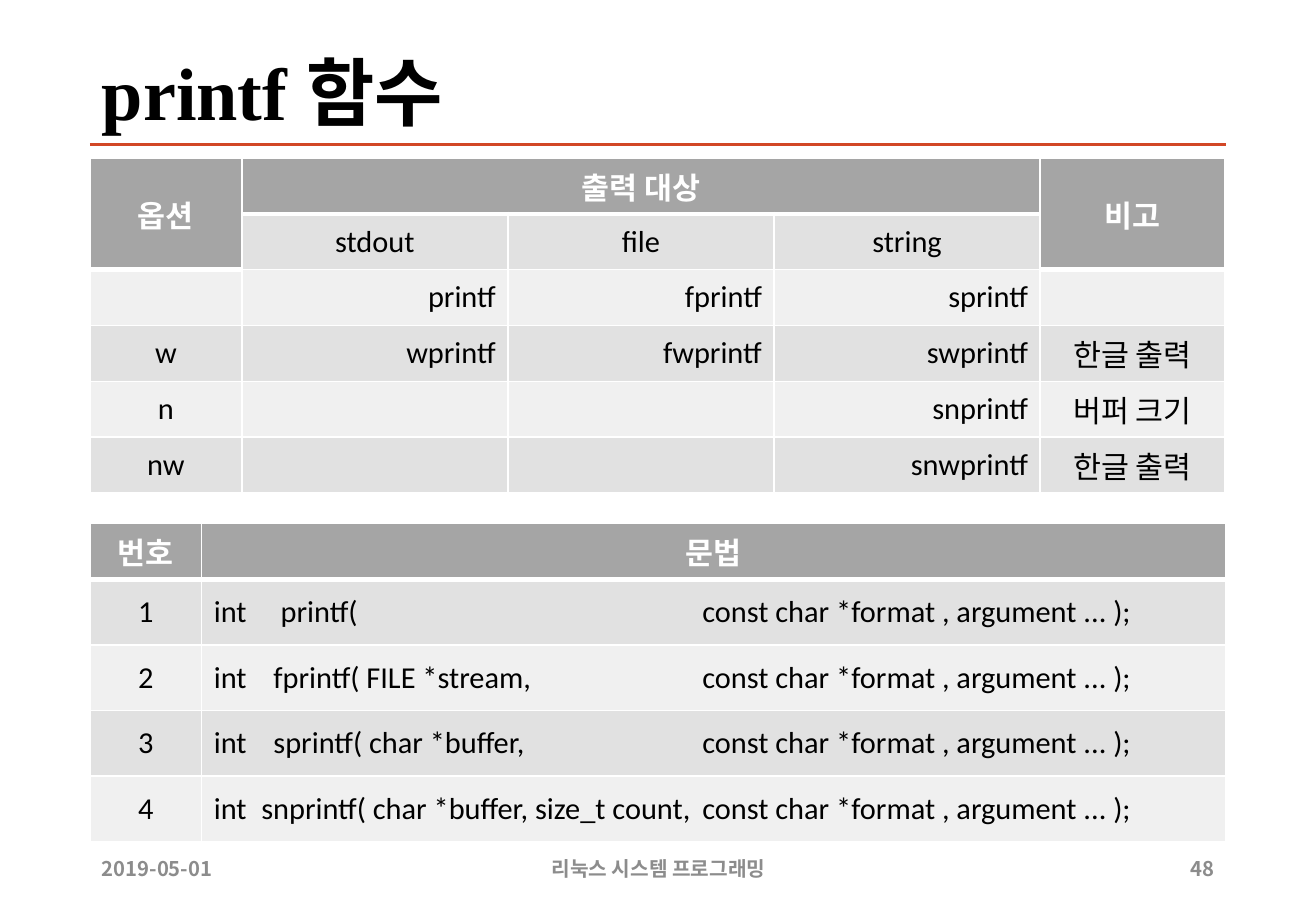
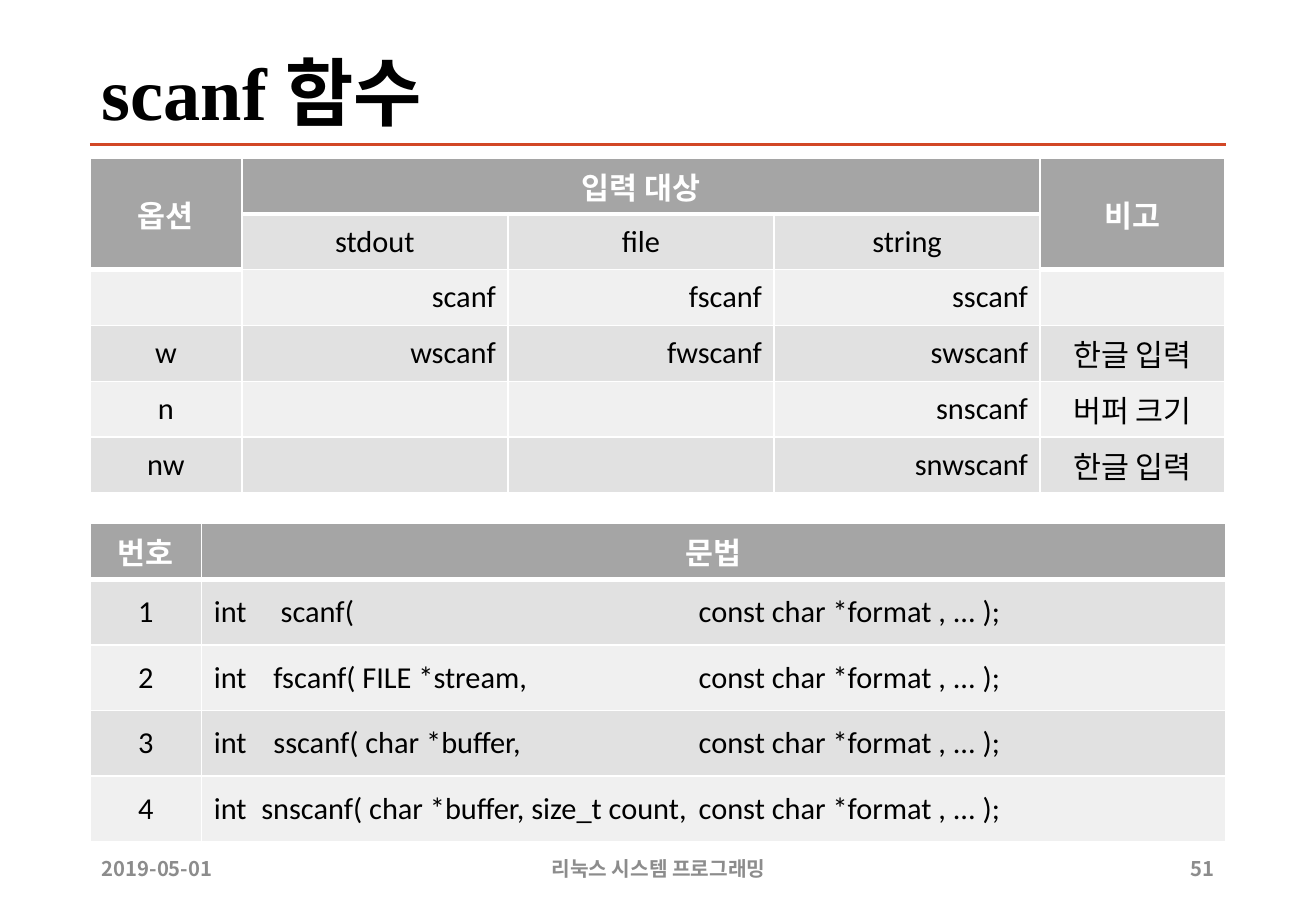
from dataclasses import dataclass

from lxml.etree import SubElement
from pptx import Presentation
from pptx.dml.color import RGBColor
from pptx.enum.shapes import MSO_CONNECTOR
from pptx.enum.text import MSO_ANCHOR, PP_ALIGN
from pptx.oxml.ns import qn
from pptx.util import Inches, Pt


@dataclass(frozen=True)
class Theme:
    black: str = "000000"
    white: str = "FFFFFF"
    accent: str = "D24726"
    muted: str = "8C8C8C"
    header: str = "A5A5A5"
    bands: tuple = ("F0F0F0", "E1E1E1")
    title_size: int = 44
    table_size: int = 18
    footer_size: int = 12
    title_font: str = "Times New Roman"
    table_font: str = "Calibri"
    korean_font: str = "Noto Sans CJK KR"
    thin: int = 1
    thick: int = 3


THEME = Theme()
LEFT, RIGHT, WIDTH = 0.74, 10.09, 9.34
TITLE = {"name": THEME.title_font, "size": Pt(THEME.title_size), "bold": True}
FOOTER = {"name": THEME.korean_font, "size": Pt(THEME.footer_size), "bold": True}
HEADER = {"name": THEME.table_font, "size": Pt(THEME.table_size), "bold": True}
BODY = {**HEADER, "bold": False}


class Deck:
    def __init__(self):
        self.presentation = Presentation()
        self.presentation.slide_width = Inches(10.83)
        self.presentation.slide_height = Inches(7.5)
        self.slide = None

    def start_slide(self, title, number):
        self.slide = self.presentation.slides.add_slide(self.presentation.slide_layouts[6])
        self.rule(1.19)
        paragraph = self.text(title, (LEFT, 0.4, WIDTH, 0.79), TITLE, THEME.black)
        paragraph.line_spacing = 0.9
        footers = (
            ("2019-05-01", LEFT, 1.27, PP_ALIGN.LEFT),
            ("리눅스 시스템 프로그래밍", 3.59, 3.66, PP_ALIGN.CENTER),
            (number, 9.56, 0.53, PP_ALIGN.RIGHT),
        )
        for text, left, width, alignment in footers:
            self.text(text, (left, 6.95, width, 0.4), FOOTER, THEME.muted, alignment)

    def rule(self, top):
        connector = self.slide.shapes.add_connector(
            MSO_CONNECTOR.STRAIGHT, Inches(LEFT), Inches(top), Inches(RIGHT), Inches(top))
        connector.line.color.rgb = RGBColor.from_string(THEME.accent)
        connector.line.width = Pt(2)
        SubElement(connector.element.spPr, qn("a:effectLst"))

    def text(self, text, box, style, color, alignment=PP_ALIGN.LEFT):
        shape = self.slide.shapes.add_textbox(*map(Inches, box))
        frame = shape.text_frame
        frame.word_wrap = True
        frame.vertical_anchor = MSO_ANCHOR.MIDDLE
        self.fill_paragraph(frame.paragraphs[0], text, style, color, alignment)
        return frame.paragraphs[0]

    def fill_paragraph(self, paragraph, text, style, color, alignment, stops=()):
        paragraph.alignment = alignment
        if stops:
            tabs = SubElement(paragraph._p.get_or_add_pPr(), qn("a:tabLst"))
            for stop in stops:
                SubElement(tabs, qn("a:tab"), pos=str(Inches(stop)), algn="l")
        run = paragraph.add_run()
        run.text = text
        for name, value in style.items():
            setattr(run.font, name, value)
        run.font.color.rgb = RGBColor.from_string(color)
        SubElement(run._r.get_or_add_rPr(), qn("a:ea"), typeface=THEME.korean_font)

    def borders(self, cell, top, bottom):
        properties = cell._tc.get_or_add_tcPr()
        widths = {"L": THEME.thin, "R": THEME.thin, "T": top, "B": bottom}
        for side, width in widths.items():
            line = SubElement(properties, qn(f"a:ln{side}"), w=str(Pt(width)))
            fill = SubElement(line, qn("a:solidFill"))
            SubElement(fill, qn("a:srgbClr"), val=THEME.white)

    def table(self, top, columns, heights, depths, rows, alignments, merges=(), stops=None):
        frame = self.slide.shapes.add_table(
            len(rows), len(columns), Inches(LEFT), Inches(top),
            Inches(WIDTH), Inches(sum(heights)))
        table = frame.table
        table.horz_banding = False
        for column, width in zip(table.columns, columns):
            column.width = Inches(width)
        for row, height in zip(table.rows, heights):
            row.height = Inches(height)
        for first, last in merges:
            table.cell(*first).merge(table.cell(*last))
        for row, values in enumerate(rows):
            for column, text in enumerate(values):
                cell, depth = table.cell(row, column), depths[column]
                header = row < depth
                self.borders(
                    cell,
                    THEME.thick if row == depth else THEME.thin,
                    THEME.thick if row == depth - 1 else THEME.thin)
                cell.fill.solid()
                cell.fill.fore_color.rgb = RGBColor.from_string(
                    THEME.header if header else THEME.bands[row % 2])
                cell.vertical_anchor = MSO_ANCHOR.MIDDLE
                if text:
                    centered = header or row < len(rows) - len(alignments[column])
                    alignment = PP_ALIGN.CENTER if centered else alignments[column][0]
                    self.fill_paragraph(
                        cell.text_frame.paragraphs[0], text,
                        HEADER if header else BODY,
                        THEME.white if header else THEME.black, alignment,
                        stops[row] if stops and "\t" in text else ())

    def variants(self, function, direction):
        rows = [
            ("옵션", f"{direction} 대상", "", "", "비고"),
            ("", "stdout", "file", "string", ""),
            ("", function, f"f{function}", f"s{function}", ""),
            ("w", f"w{function}", f"fw{function}", f"sw{function}", f"한글 {direction}"),
            ("n", "", "", f"sn{function}", "버퍼 크기"),
            ("nw", "", "", f"snw{function}", f"한글 {direction}"),
        ]
        names = [PP_ALIGN.RIGHT] * 4
        self.table(
            1.3, (1.25, 2.19, 2.19, 2.19, 1.52), [0.46] * 6, (2, 1, 1, 1, 2), rows,
            ([], names, names, names, []),
            (((0, 0), (1, 0)), ((0, 1), (0, 3)), ((0, 4), (1, 4))))

    def syntax(self, function, arguments, format_stop):
        signatures = (
            ("", "", 0.55),
            ("f", " FILE *stream,", 0.49),
            ("s", " char *buffer,", 0.49),
            ("sn", " char *buffer, size_t count,", 0.39),
        )
        rows = [("번호", "문법")]
        stops = [()]
        for number, (prefix, parameters, name_stop) in enumerate(signatures, 1):
            rows.append((
                str(number),
                f"int\t{prefix}{function}({parameters}\tconst char *format , {arguments} );"))
            stops.append((name_stop, format_stop))
        self.table(
            4.31, (0.92, 8.43), [0.46] + [0.54] * 4, (1, 1), rows,
            ([], [PP_ALIGN.LEFT] * 4), stops=stops)


def main():
    deck = Deck()
    slides = (
        ("printf", "출력", "48", "argument ...", 4.02),
        ("scanf", "입력", "51", "...", 3.99),
    )
    for function, direction, number, arguments, format_stop in slides:
        deck.start_slide(f"{function} 함수", number)
        deck.variants(function, direction)
        deck.syntax(function, arguments, format_stop)
    deck.presentation.save("out.pptx")


if __name__ == "__main__":
    main()
